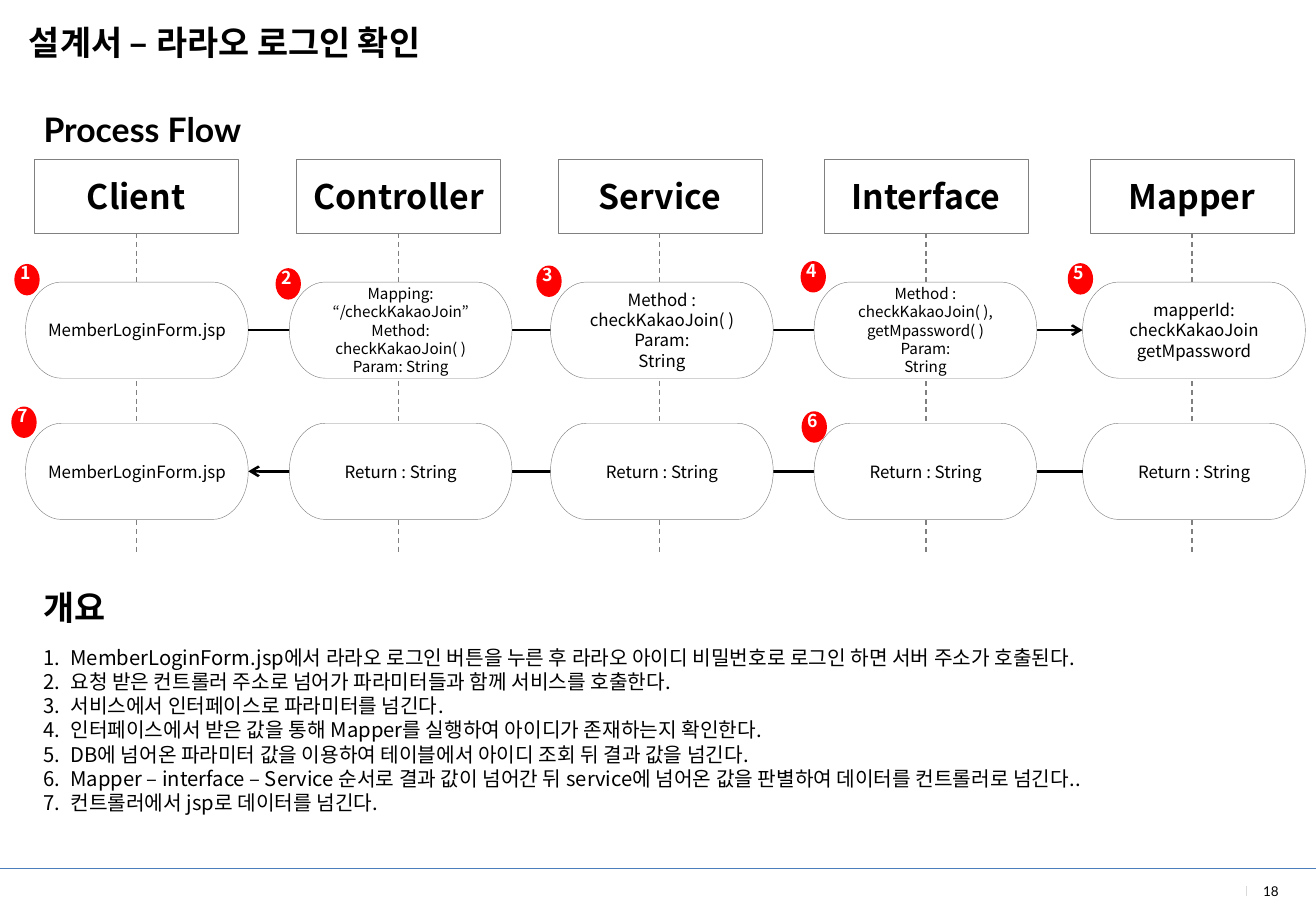
from dataclasses import dataclass

from lxml import etree
from pptx import Presentation
from pptx.dml.color import RGBColor
from pptx.enum.dml import MSO_LINE
from pptx.enum.shapes import MSO_CONNECTOR, MSO_SHAPE
from pptx.enum.text import MSO_ANCHOR, PP_ALIGN
from pptx.oxml.ns import qn
from pptx.util import Pt

RECT, OVAL = MSO_SHAPE.RECTANGLE, MSO_SHAPE.OVAL
TERMINATOR = MSO_SHAPE.FLOWCHART_TERMINATOR
STRAIGHT, DASH = MSO_CONNECTOR.STRAIGHT, MSO_LINE.DASH
TOP, MIDDLE = MSO_ANCHOR.TOP, MSO_ANCHOR.MIDDLE
LEFT, CENTER = PP_ALIGN.LEFT, PP_ALIGN.CENTER
SIDE_LEFT, SIDE_BOTTOM, SIDE_RIGHT = 1, 2, 3


@dataclass(frozen=True)
class Theme:
    latin: str = "Lato"
    korean: str = "Noto Sans CJK KR"
    black: str = "000000"
    white: str = "FFFFFF"
    border: str = "808080"
    lifeline: str = "7F7F7F"
    badge: str = "FF0000"
    footer: str = "4B7EBC"
    tick: str = "D9D9D9"
    heading: float = 20
    body: float = 12
    badge_text: float = 10.5
    step: float = 10
    small_step: float = 9
    page: float = 8
    leading: float = 1.2


T = Theme()

LAYERS = ["Client", "Controller", "Service", "Interface", "Mapper"]
HEADER_X = [20.2, 175.7, 330.5, 488.2, 645.8]
STEP_X = [15.1, 171.4, 326.2, 482.4, 641.5]
HEADER_TOP, HEADER_W, HEADER_H = 94.3, 121, 44
STEP_W, STEP_H = 132, 57
REQUEST_TOP, RETURN_TOP = 167.2, 250.9
LIFELINE_END = 327.6
FORM_PAGE = ["MemberLoginForm.jsp"]
RETURN_STRING = ["Return : String"]

REQUEST = [
    (FORM_PAGE, T.step),
    (["Mapping: “/checkKakaoJoin”", "Method: checkKakaoJoin( )", "Param: String"], T.small_step),
    (["Method : checkKakaoJoin( )", "Param:", "String"], T.step),
    (["Method : checkKakaoJoin( ),", "getMpassword( )", "Param:", "String"], T.small_step),
    (["mapperId: checkKakaoJoin", "getMpassword"], T.step),
]
RETURN = [(FORM_PAGE, T.step)] + [(RETURN_STRING, T.step)] * 4

BADGES = [(9.5, 157.5), (164.3, 160), (318.8, 158.4), (475.4, 155.8),
          (633.7, 157), (476, 244.8), (7.7, 242)]

OVERVIEW = [
    "MemberLoginForm.jsp에서 라라오 로그인 버튼을 누른 후 라라오 아이디 비밀번호로 로그인 하면 서버 주소가 호출된다.",
    "요청 받은 컨트롤러 주소로 넘어가 파라미터들과 함께 서비스를 호출한다.",
    "서비스에서 인터페이스로 파라미터를 넘긴다.",
    "인터페이스에서 받은 값을 통해 Mapper를 실행하여 아이디가 존재하는지 확인한다.",
    "DB에 넘어온 파라미터 값을 이용하여 테이블에서 아이디 조회 뒤 결과 값을 넘긴다.",
    "Mapper – interface – Service 순서로 결과 값이 넘어간 뒤 service에 넘어온 값을 판별하여 데이터를 컨트롤러로 넘긴다..",
    "컨트롤러에서 jsp로 데이터를 넘긴다.",
]


def apply(obj, values):
    for name, value in values.items():
        setattr(obj, name, value)


def rgb(color):
    return RGBColor.from_string(color)


def number(p):
    pPr = p._p.get_or_add_pPr()
    pPr.set("marL", str(Pt(16)))
    pPr.set("indent", str(-Pt(16)))
    etree.SubElement(pPr, qn("a:buFont"), typeface="+mj-lt")
    etree.SubElement(pPr, qn("a:buAutoNum"), type="arabicPeriod")


def write(s, lines, size, font=T.korean, color=T.black, bold=False,
          align=CENTER, anchor=MIDDLE, numbered=False):
    tf = s.text_frame
    apply(tf, {"word_wrap": True, "vertical_anchor": anchor})
    for i, line in enumerate(lines):
        p = tf.add_paragraph() if i else tf.paragraphs[0]
        apply(p, {"alignment": align, "line_spacing": Pt(size * T.leading)})
        if numbered:
            number(p)
        r = p.add_run()
        r.text = line
        apply(r.font, {"name": font, "size": Pt(size), "bold": bold})
        r.font.color.rgb = rgb(color)
        etree.SubElement(r._r.get_or_add_rPr(), qn("a:ea"), typeface=T.korean)


def add_text(slide, x, y, w, h, lines, size, **style):
    s = slide.shapes.add_textbox(Pt(x), Pt(y), Pt(w), Pt(h))
    write(s, lines, size, **style)


def add_box(slide, kind, x, y, w, h, fill=T.white, line=T.border, weight=0.25):
    s = slide.shapes.add_shape(kind, Pt(x), Pt(y), Pt(w), Pt(h))
    s.shadow.inherit = False
    s.fill.solid()
    s.fill.fore_color.rgb = rgb(fill)
    s.line.color.rgb = rgb(line)
    s.line.width = Pt(weight)
    return s


def add_line(slide, x1, y1, x2, y2, color, weight, dash=None, arrow=False):
    c = slide.shapes.add_connector(STRAIGHT, Pt(x1), Pt(y1), Pt(x2), Pt(y2))
    c.line.color.rgb = rgb(color)
    apply(c.line, {"width": Pt(weight), "dash_style": dash})
    if arrow:
        etree.SubElement(c.line._get_or_add_ln(), qn("a:tailEnd"), type="arrow")
    etree.SubElement(c._element.spPr, qn("a:effectLst"))
    return c


def add_layer(slide, name, x):
    s = add_box(slide, RECT, x, HEADER_TOP, HEADER_W, HEADER_H)
    write(s, [name], T.heading, bold=True)
    mid = x + HEADER_W / 2
    c = add_line(slide, mid, HEADER_TOP + HEADER_H, mid, LIFELINE_END, T.lifeline, 0.75, DASH)
    c.begin_connect(s, SIDE_BOTTOM)


def add_step(slide, x, y, step):
    lines, size = step
    s = add_box(slide, TERMINATOR, x, y, STEP_W, STEP_H)
    write(s, lines, size)
    return s


def add_flow(slide, y, steps, backward=False):
    client = add_step(slide, STEP_X[0], y, steps[0])
    mapper = add_step(slide, STEP_X[-1], y, steps[-1])
    ends = [(client, SIDE_RIGHT), (mapper, SIDE_LEFT)]
    if backward:
        ends.reverse()
    c = add_line(slide, 0, y, 0, y, T.black, 1.5, arrow=True)
    c.begin_connect(*ends[0])
    c.end_connect(*ends[1])
    for x, step in zip(STEP_X[1:-1], steps[1:-1]):
        add_step(slide, x, y, step)


def add_badge(slide, label, x, y):
    add_box(slide, OVAL, x, y, 13, 16.6, T.badge, T.badge, 2)
    add_text(slide, x - 4.5, y - 5.6, 30, 26, [label], T.badge_text,
             color=T.white, bold=True, align=LEFT, anchor=TOP)


def add_heading(slide, x, y, w, h, text):
    add_text(slide, x, y, w, h, [text], T.heading, font=T.latin, bold=True, align=LEFT)


def add_footer(slide):
    add_text(slide, 730.8, 519.8, 44.6, 16.6, ["18"], T.page, font=T.latin)
    add_line(slide, 738.7, 524.9, 738.7, 531.4, T.tick, 0.5)
    add_line(slide, 0, 514.8, 779.8, 514.8, T.footer, 0.75)


def main():
    prs = Presentation()
    apply(prs, {"slide_width": Pt(779.8), "slide_height": Pt(540)})
    slide = prs.slides.add_slide(prs.slide_layouts[6])
    add_footer(slide)
    add_heading(slide, 10.1, 5, 373, 39.6, "설계서 – 라라오 로그인 확인")
    add_heading(slide, 18.7, 64.1, 150.5, 25.2, "Process Flow")
    add_heading(slide, 18.7, 347, 150.5, 25.2, "개요")
    add_text(slide, 18.7, 378.7, 738.7, 108.7, OVERVIEW, T.body,
             align=LEFT, anchor=TOP, numbered=True)
    for name, x in zip(LAYERS, HEADER_X):
        add_layer(slide, name, x)
    add_flow(slide, REQUEST_TOP, REQUEST)
    add_flow(slide, RETURN_TOP, RETURN, backward=True)
    for i, (x, y) in enumerate(BADGES, 1):
        add_badge(slide, str(i), x, y)
    prs.save("out.pptx")


if __name__ == "__main__":
    main()
